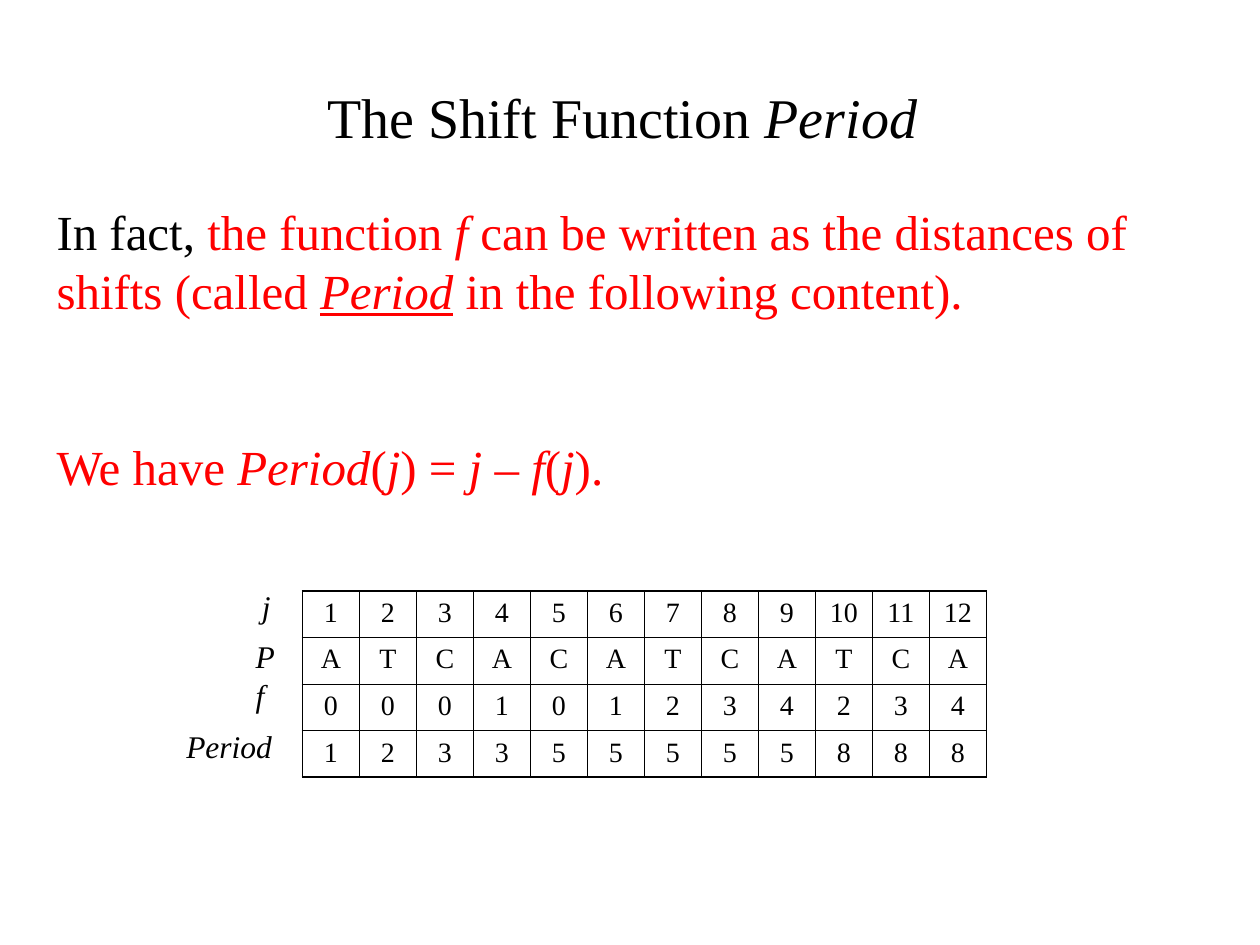
from lxml import etree
from pptx import Presentation
from pptx.dml.color import RGBColor
from pptx.enum import text
from pptx.oxml import ns
from pptx.util import Inches, Pt

BLACK = RGBColor(0, 0, 0)
RED = RGBColor(0xFF, 0, 0)
FONT = "Times New Roman"

# Runs are (text, style): i italic, u underlined, k black on a red line
TITLE = [("The Shift Function ", ""), ("Period", "i")]
BODY = [
    [("In fact, ", "k"), ("the function ", ""), ("f", "i"),
     (" can be written as the distances of shifts (called ", ""),
     ("Period", "iu"), (" in the following content).", "")],
    [("We have ", ""), ("Period", "i"), ("(", ""), ("j", "i"), (") = ", ""),
     ("j ", "i"), ("– ", ""), ("f", "i"), ("(", ""), ("j", "i"), (").", "")],
]
ROWS = [
    [1, 2, 3, 4, 5, 6, 7, 8, 9, 10, 11, 12],
    list("ATCACATCATCA"),
    [0, 0, 0, 1, 0, 1, 2, 3, 4, 2, 3, 4],
    [1, 2, 3, 3, 5, 5, 5, 5, 5, 8, 8, 8],
]
# Row labels: text, left, top, width
LABELS = [("j", 1.98, 4.61, 0.39), ("P", 1.93, 5.01, 0.39),
          ("f", 1.93, 5.32, 0.39), ("Period", 1.38, 5.72, 0.95)]
TABLE_LEFT, TABLE_TOP, TABLE_WIDTH, ROW_HEIGHT = 2.4, 4.69, 5.43, 0.37
THIN, THICK = Pt(0.45), Pt(1.08)


def add_runs(p, runs, size, color):
    for words, style in runs:
        r = p.add_run()
        r.text = words
        r.font.name = FONT
        r.font.size = Pt(size)
        r.font.color.rgb = BLACK if "k" in style else color
        r.font.italic = "i" in style
        r.font.underline = "u" in style


def add_text(s, left, top, width, height, paragraphs, size, color=BLACK):
    box = s.shapes.add_textbox(*map(Inches, (left, top, width, height)))
    tf = box.text_frame
    tf.word_wrap = True
    for i, runs in enumerate(paragraphs):
        p = tf.add_paragraph() if i else tf.paragraphs[0]
        add_runs(p, runs, size, color)
    return tf


def set_border(cell, side, width):
    tc_pr = cell._tc.get_or_add_tcPr()
    ln = etree.SubElement(tc_pr, ns.qn("a:ln" + side), w=str(width))
    fill = etree.SubElement(ln, ns.qn("a:solidFill"))
    etree.SubElement(fill, ns.qn("a:srgbClr"), val=str(BLACK))


def add_grid(s):
    n_rows, n_cols = len(ROWS), len(ROWS[0])
    frame = s.shapes.add_table(
        n_rows, n_cols, Inches(TABLE_LEFT), Inches(TABLE_TOP),
        Inches(TABLE_WIDTH), Inches(ROW_HEIGHT * n_rows))
    table = frame.table
    table.first_row = table.horz_banding = False
    for column in table.columns:
        column.width = Inches(TABLE_WIDTH / n_cols)
    for i, values in enumerate(ROWS):
        table.rows[i].height = Inches(ROW_HEIGHT)
        for j, value in enumerate(values):
            cell = table.cell(i, j)
            p = cell.text_frame.paragraphs[0]
            p.alignment = text.PP_ALIGN.CENTER
            add_runs(p, [(str(value), "")], 16, BLACK)
            # The outer frame is thicker than the inner lines
            outer = {"L": j == 0, "R": j == n_cols - 1,
                     "T": i == 0, "B": i == n_rows - 1}
            for side, is_outer in outer.items():
                set_border(cell, side, THICK if is_outer else THIN)
            cell.fill.background()


def main():
    prs = Presentation()
    prs.slide_width, prs.slide_height = Inches(10), Inches(7.5)
    s = prs.slides.add_slide(prs.slide_layouts[6])

    # Title, set slightly left of centre
    tf = add_text(s, 0.5, 0.3, 9, 1.25, [TITLE], 32)
    tf.vertical_anchor = text.MSO_ANCHOR.MIDDLE
    tf.margin_right = Inches(0.22)
    tf.paragraphs[0].alignment = text.PP_ALIGN.CENTER

    # Statement and formula, with a wide gap between them
    tf = add_text(s, 0.35, 1.55, 9.45, 2.46, BODY, 28, RED)
    tf.paragraphs[1].space_before = Pt(67)

    # Table with its row labels
    add_grid(s)
    for label, left, top, width in LABELS:
        add_text(s, left, top, width, 0.4, [[(label, "i")]], 18)

    prs.save("out.pptx")


if __name__ == "__main__":
    main()
